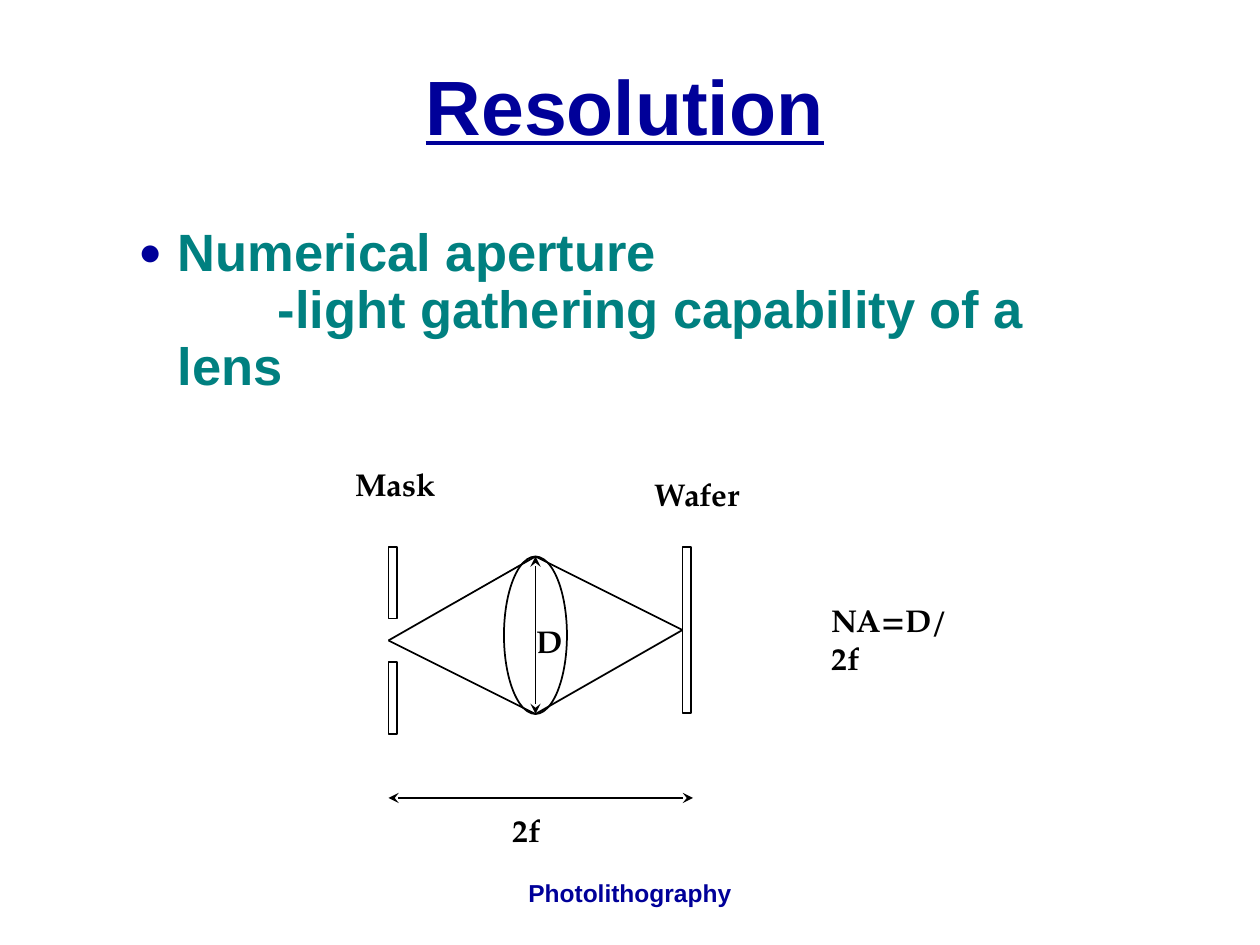
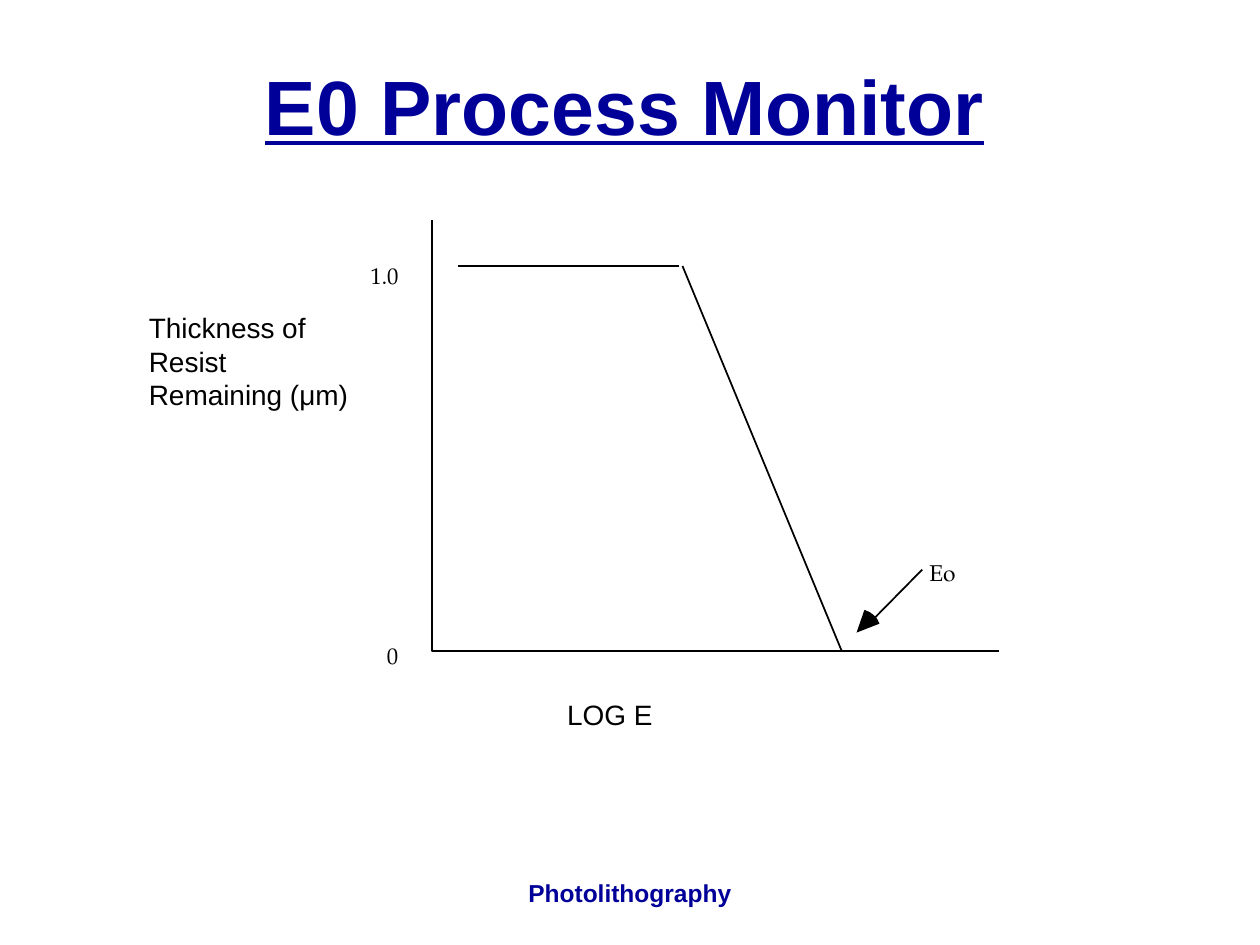
from dataclasses import dataclass

import lxml.etree
import pptx
import pptx.dml.color
import pptx.enum.shapes
import pptx.enum.text
import pptx.oxml.ns
import pptx.util

Pt = pptx.util.Pt
RGB = pptx.dml.color.RGBColor
qn = pptx.oxml.ns.qn
Align = pptx.enum.text.PP_ALIGN
Anchor = pptx.enum.text.MSO_ANCHOR
Shape = pptx.enum.shapes.MSO_SHAPE


@dataclass(frozen=True)
class Theme:
    navy: RGB = RGB(0x00, 0x00, 0x99)
    teal: RGB = RGB(0x00, 0x80, 0x80)
    ink: RGB = RGB(0x00, 0x00, 0x00)
    paper: RGB = RGB(0xFF, 0xFF, 0xFF)
    sans: str = "Arial"
    serif: str = "TeX Gyre Pagella"
    title_size: float = 44
    body_size: float = 30
    part_size: float = 18
    axis_size: float = 16
    footer_size: float = 14
    tick_size: float = 13
    stroke: float = 1


THEME = Theme()


def add_text(slide, box, text, size, font=THEME.sans, color=THEME.ink, bold=False,
             underline=False, align=Align.LEFT, anchor=Anchor.TOP, wrap=False):
    frame = slide.shapes.add_textbox(*map(Pt, box)).text_frame
    frame.text = text
    frame.word_wrap = wrap
    frame.vertical_anchor = anchor
    for paragraph in frame.paragraphs:
        paragraph.alignment = align
        for run in paragraph.runs:
            run.font.size = Pt(size)
            run.font.name = font
            run.font.color.rgb = color
            run.font.bold = bold
            run.font.underline = underline
    return frame


def add_part_label(slide, box, text, wrap=False):
    add_text(slide, box, text, THEME.part_size, THEME.serif, bold=True, wrap=wrap)


def add_tick_label(slide, box, text):
    add_text(slide, box, text, THEME.tick_size, THEME.serif)


def add_frame(slide, title):
    """Put the title and the footer on a slide."""
    heading = add_text(slide, (36, 18, 642, 90), title, THEME.title_size,
                       color=THEME.navy, bold=True, underline=True,
                       align=Align.CENTER, anchor=Anchor.MIDDLE, wrap=True)
    heading.paragraphs[0].line_spacing = 0.9
    add_text(slide, (246, 492, 228, 36), "Photolithography", THEME.footer_size,
             color=THEME.navy, bold=True, align=Align.CENTER, anchor=Anchor.MIDDLE)


def add_bullet(paragraph, hang):
    properties = paragraph._p.get_or_add_pPr()
    properties.set("marL", str(Pt(hang)))
    properties.set("indent", str(-Pt(hang)))
    color = lxml.etree.SubElement(properties, qn("a:buClr"))
    lxml.etree.SubElement(color, qn("a:srgbClr"), val=str(THEME.navy))
    lxml.etree.SubElement(properties, qn("a:buSzPct"), val="75000")
    lxml.etree.SubElement(properties, qn("a:buFont"), typeface=THEME.sans)
    lxml.etree.SubElement(properties, qn("a:buChar"), char="●")


def add_definition(slide, box, term, meaning):
    """Write a bulleted term with its meaning indented on the next line."""
    hang, meaning_indent = 22.5, 57
    frame = add_text(slide, box, f"{term}\n{meaning}", THEME.body_size,
                     color=THEME.teal, bold=True, wrap=True)
    for paragraph in frame.paragraphs:
        paragraph.line_spacing = 0.9
    add_bullet(frame.paragraphs[0], hang)
    properties = frame.paragraphs[1]._p.get_or_add_pPr()
    properties.set("marL", str(Pt(hang)))
    properties.set("indent", str(Pt(meaning_indent)))


def outline(shape):
    shape.line.color.rgb = THEME.ink
    shape.line.width = Pt(THEME.stroke)


def add_part(slide, kind, box):
    part = slide.shapes.add_shape(kind, *map(Pt, box))
    part.shadow.inherit = False
    part.fill.solid()
    part.fill.fore_color.rgb = THEME.paper
    outline(part)
    return part


def add_line(slide, start, end, double_arrow=False):
    line = slide.shapes.add_connector(
        pptx.enum.shapes.MSO_CONNECTOR.STRAIGHT, *map(Pt, (*start, *end)))
    outline(line)
    properties = line._element.spPr
    if double_arrow:
        stroke = properties.find(qn("a:ln"))
        for tip in ("a:headEnd", "a:tailEnd"):
            lxml.etree.SubElement(stroke, qn(tip), type="stealth")
    lxml.etree.SubElement(properties, qn("a:effectLst"))
    return line


def add_outline(slide, points, closed=False):
    """Draw a path through the points, filled with ink when closed."""
    corners = [(Pt(x), Pt(y)) for x, y in points]
    builder = slide.shapes.build_freeform(*corners[0])
    builder.add_line_segments(corners[1:], close=closed)
    drawn = builder.convert_to_shape()
    drawn.shadow.inherit = False
    if closed:
        drawn.fill.solid()
        drawn.fill.fore_color.rgb = THEME.ink
        drawn.line.fill.background()
    else:
        drawn.fill.background()
        outline(drawn)


def add_lens_diagram(slide):
    mask_x, wafer_x, plate_width, plate_top = 222, 390, 5, 312.5
    lens_top, lens_bottom, lens_width = 318, 408, 36
    lens_x = (mask_x + wafer_x) / 2
    source, focus = (mask_x, 366), (wafer_x, 360)

    add_part(slide, Shape.OVAL, (lens_x - lens_width / 2, lens_top,
                                 lens_width, lens_bottom - lens_top))
    wafer = add_part(slide, Shape.RECTANGLE, (wafer_x, plate_top, plate_width, 95))
    for mask_top in (plate_top, plate_top + 66):
        add_part(slide, Shape.RECTANGLE, (mask_x, mask_top, plate_width, 41))

    for lens_edge in (lens_top, lens_bottom):
        add_line(slide, source, (lens_x, lens_edge))
        focused_ray = add_line(slide, (lens_x, lens_edge), focus)
        focused_ray.end_connect(wafer, 1)
    add_line(slide, (mask_x, 456), (396, 456), double_arrow=True)
    add_line(slide, (lens_x, lens_top), (lens_x, lens_bottom), double_arrow=True)

    add_part_label(slide, (299.5, 352, 28, 29), "D")
    add_part_label(slide, (286, 460, 32, 29), "2f")
    add_part_label(slide, (196, 262, 63, 29), "Mask")
    add_part_label(slide, (367, 268, 71, 29), "Wafer")
    add_part_label(slide, (468, 340, 88.5, 29), "NA=D/2f", wrap=True)


def add_resist_curve(slide):
    axis_x, base_y, full_y = 247, 372, 152
    add_outline(slide, [(axis_x, 126), (axis_x, base_y), (571, base_y)])
    add_line(slide, (262, full_y), (388, full_y))
    add_line(slide, (390, full_y), (481, base_y))

    add_text(slide, (78, 174, 128, 84), "Thickness of\nResist\nRemaining (μm)",
             THEME.axis_size)
    add_text(slide, (317, 395, 63, 27), "LOG E", THEME.axis_size)
    add_tick_label(slide, (204.5, 146, 32, 23), "1.0")
    add_tick_label(slide, (214, 363, 22, 23), "0")

    arrowhead = [(489.5, 361.5), (494, 348.5), (497, 349.8), (499.5, 351.6),
                 (501.4, 353.8), (502.6, 356.4)]
    add_outline(slide, arrowhead, closed=True)
    add_line(slide, (494.5, 358.5), (527, 325.5))
    add_tick_label(slide, (524, 316, 30, 23), "Eo")


def main():
    deck = pptx.Presentation()
    deck.slide_width, deck.slide_height = Pt(720), Pt(540)
    blank = deck.slide_layouts[6]

    resolution = deck.slides.add_slide(blank)
    add_frame(resolution, "Resolution")
    add_definition(resolution, (72, 126, 564, 324), "Numerical aperture",
                   "-light gathering capability of a lens")
    add_lens_diagram(resolution)

    process_monitor = deck.slides.add_slide(blank)
    add_frame(process_monitor, "E0 Process Monitor")
    add_resist_curve(process_monitor)

    deck.save("out.pptx")


if __name__ == "__main__":
    main()
